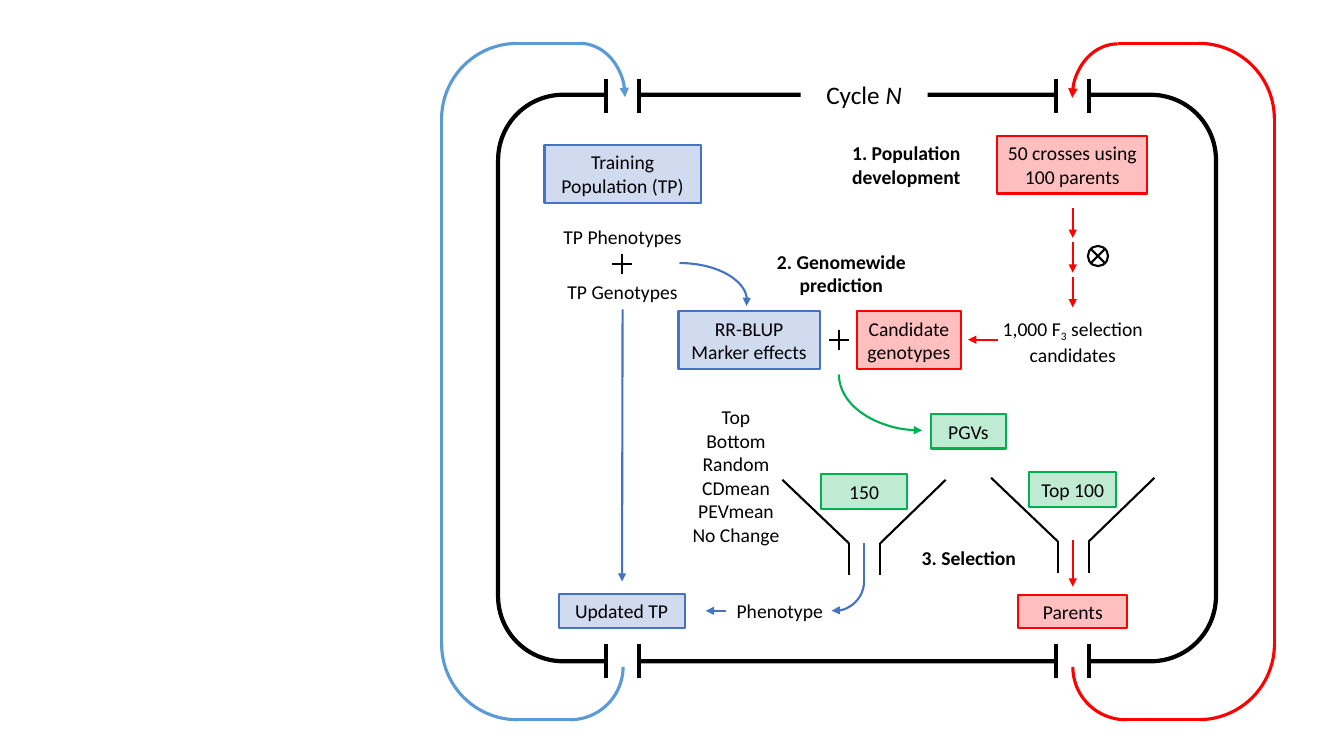
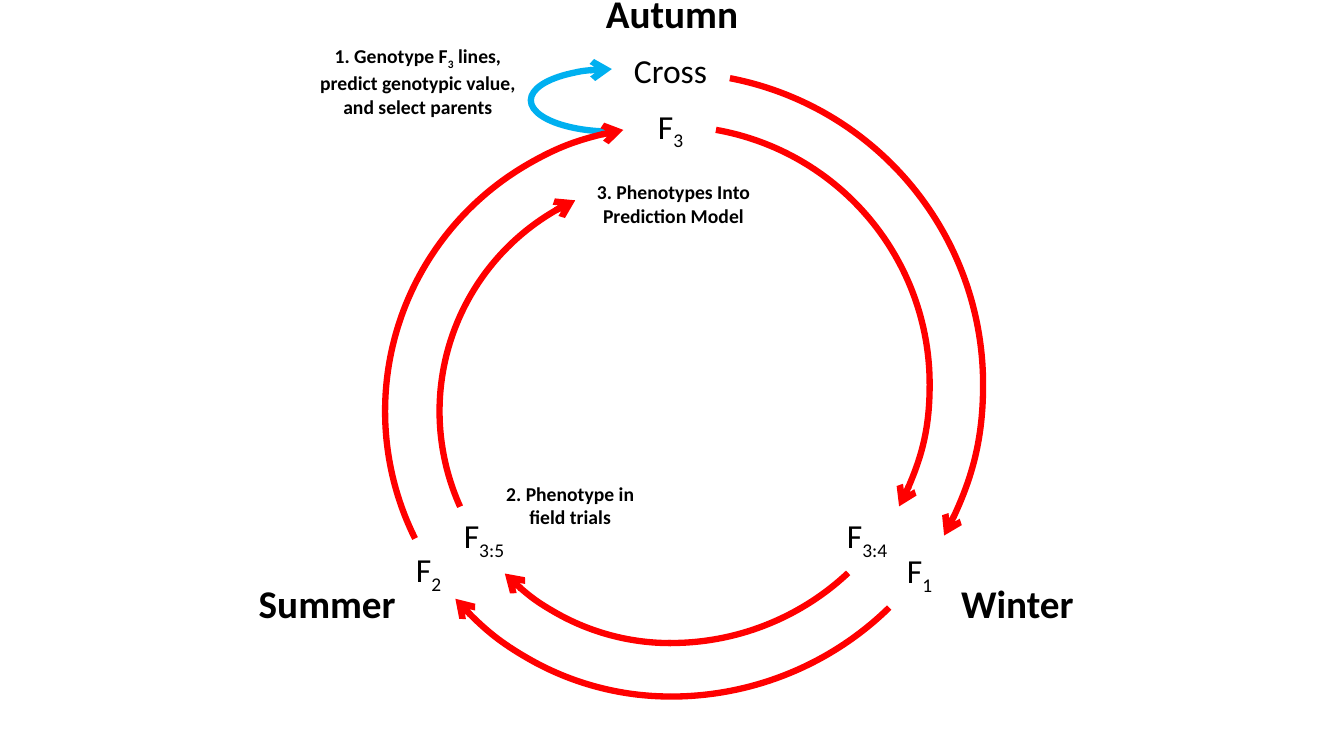
from lxml import etree
from pptx import Presentation
from pptx.dml.color import RGBColor
from pptx.enum.shapes import MSO_CONNECTOR, MSO_SHAPE
from pptx.enum.text import MSO_ANCHOR, MSO_AUTO_SIZE, PP_ALIGN
from pptx.oxml.ns import qn
from pptx.util import Inches, Pt

BLACK = RGBColor(0x00, 0x00, 0x00)
WHITE = RGBColor(0xFF, 0xFF, 0xFF)
RED = RGBColor(0xFF, 0x00, 0x00)
GREEN = RGBColor(0x00, 0xB0, 0x50)
BLUE = RGBColor(0x44, 0x72, 0xC4)
SKY = RGBColor(0x5B, 0x9B, 0xD5)
CYAN = RGBColor(0x00, 0xB0, 0xF0)
FONT = "Calibri"
THIN, MID, THICK, BOLD = 1.5, 2.25, 3, 4.5
RECT, ROUND = MSO_SHAPE.RECTANGLE, MSO_SHAPE.ROUNDED_RECTANGLE
OVAL, ARC = MSO_SHAPE.OVAL, MSO_SHAPE.ARC
STRAIGHT = MSO_CONNECTOR.STRAIGHT
CENTER = PP_ALIGN.CENTER
MIDDLE = MSO_ANCHOR.MIDDLE
GROW = MSO_AUTO_SIZE.SHAPE_TO_FIT_TEXT
TRI, OPEN = "triangle", "arrow"


def pen(item, color, width, head=None, tail=None):
    """Set the line of a shape or connector, with any arrowheads."""
    item.line.color.rgb = color
    item.line.width = Pt(width)
    outline = item._element.spPr.find(qn("a:ln"))
    for tag, kind in (("a:headEnd", head), ("a:tailEnd", tail)):
        if kind:
            etree.SubElement(outline, qn(tag), type=kind)


def line(shapes, x1, y1, x2, y2, color=BLACK, width=THIN, tail=None):
    """Draw a straight line without a shadow."""
    item = shapes.add_connector(
        STRAIGHT, Inches(x1), Inches(y1), Inches(x2), Inches(y2))
    pen(item, color, width, tail=tail)
    etree.SubElement(item._element.spPr, qn("a:effectLst"))
    return item


def shape(shapes, kind, x, y, w, h):
    """Add an unfilled preset shape without a shadow."""
    item = shapes.add_shape(kind, Inches(x), Inches(y), Inches(w), Inches(h))
    item.shadow.inherit = False
    item.fill.background()
    return item


def arc(shapes, box, color, width, turn=0, start=270, end=0, head=None, tail=None):
    """Draw an arc between two angles in degrees."""
    item = shape(shapes, ARC, *box)
    item.rotation = turn
    item.adjustments[0] = start * 0.6
    item.adjustments[1] = end * 0.6
    pen(item, color, width, head, tail)
    return item


def write(item, text, size=14, bold=False):
    """Fill in centred text, with subscripts between tildes."""
    frame = item.text_frame
    frame.word_wrap = True
    frame.auto_size = GROW
    for row, words in enumerate(text.split("\n")):
        para = frame.add_paragraph() if row else frame.paragraphs[0]
        para.alignment = CENTER
        para.font.name = FONT
        para.font.size = Pt(size)
        para.font.bold = bold
        para.font.color.rgb = BLACK
        for place, part in enumerate(words.split("~")):
            if part:
                run = para.add_run()
                run.text = part
                if place % 2:
                    run._r.get_or_add_rPr().set("baseline", "-25000")
    return item


def label(shapes, text, x, y, w, h, size=14, bold=False):
    """Add a plain text box."""
    item = shapes.add_textbox(Inches(x), Inches(y), Inches(w), Inches(h))
    return write(item, text, size, bold)


def card(shapes, text, color, x, y, w, h):
    """Add a tinted box with an outline of the same colour."""
    item = shape(shapes, RECT, x, y, w, h)
    item.fill.solid()
    item.fill.fore_color.rgb = color
    tint = item._element.spPr.find(qn("a:solidFill"))[0]
    etree.SubElement(tint, qn("a:alpha"), val="25000")
    pen(item, color, THIN)
    item.text_frame.vertical_anchor = MIDDLE
    return write(item, text)


def patch(shapes, x, y, w, h):
    """Add a white box that hides the frame behind it."""
    item = shape(shapes, RECT, x, y, w, h)
    item.fill.solid()
    item.fill.fore_color.rgb = WHITE
    item.line.fill.background()
    return item


def plus(slide, x, y):
    """Draw a plus sign around a centre."""
    shapes = slide.shapes.add_group_shape().shapes
    line(shapes, x, y - 0.1, x, y + 0.1)
    line(shapes, x - 0.1, y, x + 0.1, y)


def selfing(slide, x, y):
    """Draw the crossed circle that stands for selfing."""
    shapes = slide.shapes.add_group_shape().shapes
    pen(shape(shapes, OVAL, x, y, 0.2, 0.2), BLACK, THIN)
    line(shapes, x + 0.03, y + 0.03, x + 0.17, y + 0.17)
    line(shapes, x + 0.03, y + 0.17, x + 0.17, y + 0.03)


def gate(slide, x, y):
    """Open a gap in the frame between two posts."""
    shapes = slide.shapes.add_group_shape().shapes
    patch(shapes, x, y, 0.33, 0.33)
    for post in (x, x + 0.33):
        line(shapes, post, y, post, y + 0.34, width=THICK)


def funnel(slide, text, x, y):
    """Draw a funnel with a green card in its mouth."""
    shapes = slide.shapes.add_group_shape().shapes
    for rim, neck in ((0, 0.66), (1.62, 0.97)):
        line(shapes, x + rim, y, x + neck, y + 0.63)
        line(shapes, x + neck, y + 0.63, x + neck, y + 0.94)
    card(shapes, text, GREEN, x + 0.38, y - 0.06, 0.86, 0.35)


def frame(slide, x, y):
    """Draw the cycle frame with its title and four gates."""
    shapes = slide.shapes
    outer = shape(shapes, ROUND, x, y, 7.12, 5.62)
    outer.adjustments[0] = 0.115
    pen(outer, BLACK, THICK)
    for dx in (1.07, 5.53):
        for dy in (-0.16, 5.45):
            gate(slide, x + dx, y + dy)
    title = patch(shapes, x + 3, y - 0.2, 1.26, 0.4)
    title.text_frame.vertical_anchor = MIDDLE
    write(title, "Cycle ", 18)
    run = title.text_frame.paragraphs[0].add_run()
    run.text = "N"
    run.font.italic = True


def training(slide, x, y):
    """Place the training population column."""
    shapes = slide.shapes
    card(shapes, "Training Population (TP)", BLUE, x, y, 1.55, 0.57)
    label(shapes, "TP Phenotypes", x, y + 0.74, 1.55, 0.34)
    plus(slide, x + 0.77, y + 1.18)
    genes = label(shapes, "TP Genotypes", x, y + 1.29, 1.55, 0.34)
    arc(shapes, (x + 0.67, y + 1.17, 1.34, 0.76), BLUE, THIN, end=4, tail=TRI)
    down = line(shapes, x + 0.77, y + 1.62, x + 0.77, y + 4.33, BLUE, tail=TRI)
    down.begin_connect(genes, 2)
    card(shapes, "Updated TP", BLUE, x + 0.14, y + 4.45, 1.25, 0.34)


def crosses(slide, x, y):
    """Place the crossing steps down to the candidates."""
    shapes = slide.shapes
    label(shapes, "1. Population development", x, y, 1.46, 0.57, bold=True)
    card(shapes, "50 crosses using 100 parents", RED, x + 1.63, y, 1.49, 0.57)
    for step in range(3):
        top = y + 0.71 + 0.345 * step
        line(shapes, x + 2.38, top, x + 2.38, top + 0.3, RED, tail=TRI)
    selfing(slide, x + 2.53, y + 1.09)
    label(shapes, "1,000 F~3~ selection candidates", x + 1.57, y + 1.74, 1.62, 0.57)


def predict(slide, x, y):
    """Place the genomewide prediction row and its result."""
    shapes = slide.shapes
    label(shapes, "2. Genomewide prediction", x + 0.86, y - 0.66, 1.51, 0.57, bold=True)
    card(shapes, "RR-BLUP\nMarker effects", BLUE, x, y, 1.4, 0.57)
    plus(slide, x + 1.59, y + 0.28)
    card(shapes, "Candidate genotypes", RED, x + 1.77, y, 1.03, 0.57)
    line(shapes, x + 3.17, y + 0.28, x + 2.87, y + 0.28, RED, tail=TRI)
    arc(shapes, (x + 1.59, y + 0.07, 1.65, 1.11), GREEN, THIN, 180, head=TRI)
    card(shapes, "PGVs", GREEN, x + 2.5, y + 1.02, 0.75, 0.34)


def select(slide, x, y):
    """Place both funnels and what comes out of them."""
    shapes = slide.shapes
    label(shapes, "Top\nBottom\nRandom\nCDmean\nPEVmean\nNo Change", x, y, 1.14, 1.51)
    funnel(slide, "150", x + 1.03, y + 0.79)
    funnel(slide, "Top 100", x + 3.1, y + 0.77)
    label(shapes, "3. Selection", x + 2.3, y + 1.4, 1.16, 0.34, bold=True)
    line(shapes, x + 1.84, y + 1.42, x + 1.84, y + 1.8, BLUE)
    arc(shapes, (x + 1.25, y + 1.5, 0.59, 0.59), BLUE, THIN, 90, end=5.34, tail=TRI)
    trial = label(shapes, "Phenotype", x + 0.47, y + 1.92, 1.07, 0.34)
    back = line(shapes, x + 0.47, y + 2.09, x + 0.27, y + 2.09, BLUE, tail=TRI)
    back.begin_connect(trial, 1)
    line(shapes, x + 3.91, y + 1.39, x + 3.91, y + 1.85, RED, tail=TRI)
    card(shapes, "Parents", RED, x + 3.37, y + 1.93, 1.08, 0.33)


def left_loop(slide, x, y):
    """Draw the return path of the training population."""
    shapes = slide.shapes
    line(shapes, x + 0.75, y + 6.71, x + 1.27, y + 6.71, SKY, MID)
    line(shapes, x, y + 5.97, x, y + 0.75, SKY, MID)
    line(shapes, x + 0.75, y, x + 1.37, y, SKY, MID)
    arc(shapes, (x + 0.75, y + 5.66, 1.05, 1.05), SKY, MID, 90)
    arc(shapes, (x, y + 5.21, 1.5, 1.5), SKY, MID, 180)
    arc(shapes, (x, y, 1.5, 1.5), SKY, MID, 270)
    arc(shapes, (x + 0.92, y, 0.9, 1.07), SKY, MID, tail=TRI)


def right_loop(slide, x, y):
    """Draw the return path of the parents."""
    shapes = slide.shapes
    line(shapes, x + 0.52, y + 6.71, x + 1.27, y + 6.71, RED, MID)
    line(shapes, x + 2, y + 5.96, x + 2, y + 0.75, RED, MID)
    line(shapes, x + 0.45, y, x + 1.27, y, RED, MID)
    arc(shapes, (x, y + 5.66, 1.05, 1.05), RED, MID, 180)
    arc(shapes, (x + 0.5, y + 5.21, 1.5, 1.5), RED, MID, 90)
    arc(shapes, (x + 0.5, y, 1.5, 1.5), RED, MID)
    arc(shapes, (x - 0.09, y + 0.09, 1.07, 0.9), RED, MID, 270, head=TRI)


def scheme(slide):
    """Build the breeding cycle slide."""
    frame(slide, 4.94, 0.94)
    training(slide, 5.4, 1.44)
    crosses(slide, 8.26, 1.35)
    predict(slide, 6.73, 3.09)
    select(slide, 6.73, 3.97)
    left_loop(slide, 4.38, 0.43)
    right_loop(slide, 10.64, 0.43)


def rings(shapes, x, y):
    """Draw the season arrows relative to the outer ring."""
    arc(shapes, (x + 2.2, y - 0.53, 0.62, 1.61), CYAN, BOLD, 270, 179.85, 359.82, tail=OPEN)
    for dx, dy, size, turn, start, end, tail in (
        (0.26, 0.53, 5.66, 270, 179.91, 228.91, OPEN),
        (0.79, 1.06, 4.6, 270, 179.91, 225.58, OPEN),
        (0, 0, 6.19, 90, 190.87, 298.94, OPEN),
        (0.53, 0.53, 5.13, 90, 190, 298.13, OPEN),
        (0, 0, 6.19, 90, 315.63, 0, None),
        (0.26, 0.53, 5.66, 270, 243.51, 350.5, OPEN),
        (0.53, 0.53, 5.13, 90, 316.77, 0.66, None),
        (0.8, 1.06, 4.6, 270, 245.69, 335.49, OPEN),
    ):
        arc(shapes, (x + dx, y + dy, size, size), RED, BOLD, turn, start, end, tail=tail)


def seasons(slide):
    """Build the season ring slide."""
    shapes = slide.shapes.add_group_shape().shapes
    rings(shapes, 3.56, 0.72)
    for text, x, y in (
        ("Cross", 5.96, 0.45), ("F~1~", 8.43, 5.41), ("F~2~", 3.56, 5.4),
        ("F~3~", 5.96, 1), ("F~3:4~", 7.91, 5.06), ("F~3:5~", 4.11, 5.06),
    ):
        label(shapes, text, x, y, 1.38, 0.48, 24)
    for text, x, y, w, h, size in (
        ("Winter", 9.37, 5.7, 1.44, 0.57, 28),
        ("Summer", 2.43, 5.7, 1.63, 0.57, 28),
        ("Autumn", 5.77, -0.16, 1.79, 0.57, 28),
        ("2. Phenotype in field trials", 4.88, 4.73, 1.55, 0.57, 14),
        ("1. Genotype F~3~ lines, predict genotypic value, and select parents",
         3.03, 0.39, 2.23, 0.81, 14),
        ("3. Phenotypes Into Prediction Model", 5.8, 1.74, 1.76, 0.57, 14),
    ):
        label(shapes, text, x, y, w, h, size, True)


def main():
    """Build and save the deck."""
    deck = Presentation()
    deck.slide_width = Inches(13.33)
    deck.slide_height = Inches(7.5)
    for build in (scheme, seasons):
        build(deck.slides.add_slide(deck.slide_layouts[6]))
    deck.save("out.pptx")


if __name__ == "__main__":
    main()
